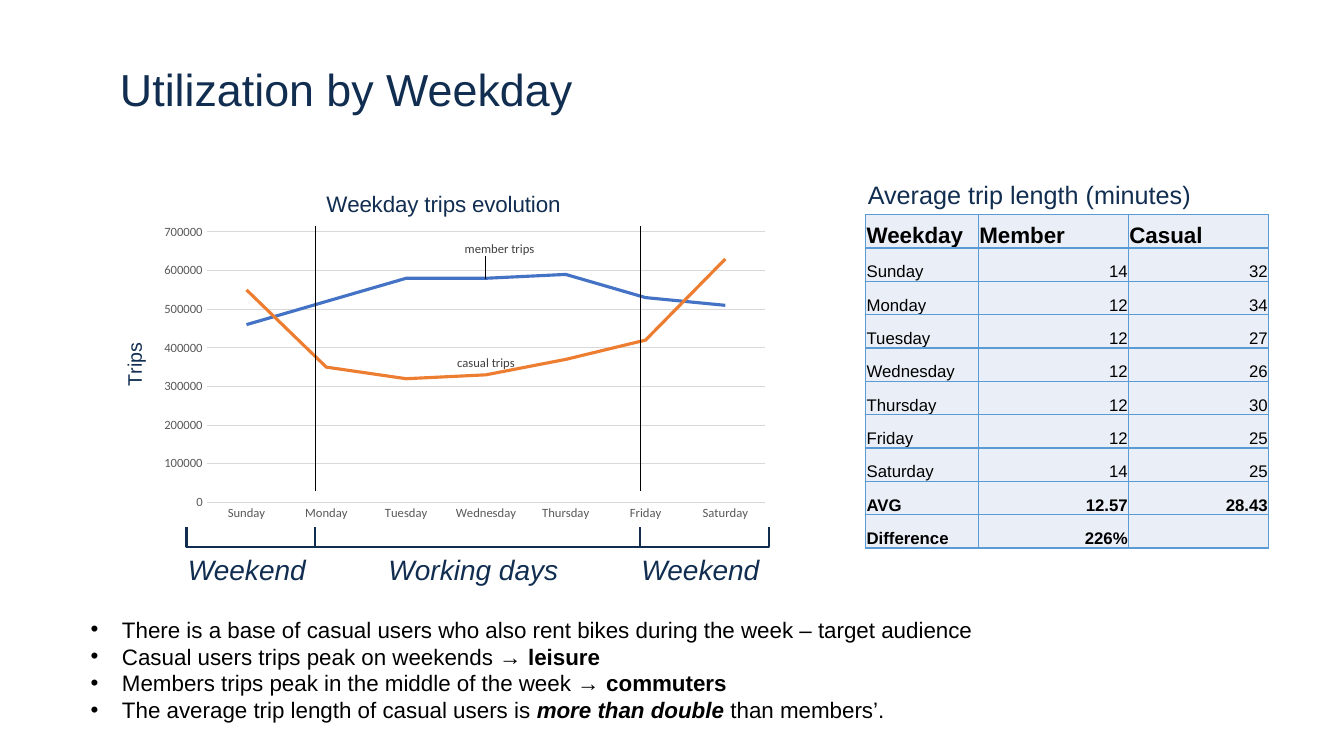
"""Build the slide on bike utilization by weekday."""
from dataclasses import dataclass

from lxml import etree
from pptx import Presentation
from pptx.chart.data import CategoryChartData
from pptx.dml.color import RGBColor
from pptx.enum.chart import XL_CHART_TYPE, XL_LABEL_POSITION, XL_TICK_MARK
from pptx.enum.shapes import MSO_CONNECTOR, MSO_SHAPE
from pptx.enum.text import MSO_ANCHOR, MSO_AUTO_SIZE, PP_ALIGN
from pptx.oxml import parse_xml
from pptx.oxml.ns import nsdecls, qn
from pptx.util import Cm, Pt

LINE_CHART = XL_CHART_TYPE.LINE
ABOVE = XL_LABEL_POSITION.ABOVE
NO_TICK = XL_TICK_MARK.NONE
STRAIGHT = MSO_CONNECTOR.STRAIGHT
BRACKET = MSO_SHAPE.LEFT_BRACKET
TOP, BOTTOM, MIDDLE = MSO_ANCHOR.TOP, MSO_ANCHOR.BOTTOM, MSO_ANCHOR.MIDDLE
NO_FIT = MSO_AUTO_SIZE.NONE
LEFT, RIGHT = PP_ALIGN.LEFT, PP_ALIGN.RIGHT


@dataclass(frozen=True)
class Theme:
    """Fonts, colours and type sizes of the slide."""
    font: str = "Arial"
    chart_font: str = "Calibri"
    navy: str = "112E51"
    black: str = "000000"
    axis_grey: str = "595959"
    label_grey: str = "404040"
    grid: str = "D9D9D9"
    member: str = "4472C4"
    casual: str = "ED7D31"
    cell: str = "EAEFF7"
    border: str = "5B9BD5"
    title: int = 32
    band: int = 20
    caption: int = 18
    body: int = 16
    axis_title: int = 14
    cell_size: int = 12
    tick: int = 9


THEME = Theme()
DAYS = ["Sunday", "Monday", "Tuesday", "Wednesday", "Thursday", "Friday", "Saturday"]
TRIPS = [
    ("member trips", THEME.member, [460000, 520000, 580000, 580000, 590000, 530000, 510000]),
    ("casual trips", THEME.casual, [550000, 350000, 320000, 330000, 370000, 420000, 630000]),
]
LABELLED_DAY = DAYS.index("Wednesday")
MEMBER_MINUTES = [14, 12, 12, 12, 12, 12, 14]
CASUAL_MINUTES = [32, 34, 27, 26, 30, 25, 25]
TRIP_LENGTHS = [
    ("Weekday", "Member", "Casual"),
    *zip(DAYS, MEMBER_MINUTES, CASUAL_MINUTES),
    ("AVG", "12.57", "28.43"),
    ("Difference", "226%", ""),
]
BOLD_ROWS = {"Weekday", "AVG", "Difference"}
BAND_EDGES = [4.7, 7.95, 16.13, 19.38]
BANDS = [("Weekend", 3.68), ("Working days", 5), ("Weekend", 3.68)]
FINDINGS = [
    [("There is a base of casual users who also rent bikes during the week – target audience", {})],
    [("Casual users trips peak on weekends → ", {}), ("leisure", {"bold": True})],
    [("Members trips peak in the middle of the week → ", {}), ("commuters", {"bold": True})],
    [("The average trip length of casual users is ", {}),
     ("more than double ", {"bold": True, "italic": True}), ("than members’.", {})],
]


def rgb(color):
    """Turn a hex string into a colour."""
    return RGBColor.from_string(color)


def set_font(font, size, color, name=THEME.font, bold=False, italic=False):
    """Format a font."""
    font.size, font.name, font.bold, font.italic = Pt(size), name, bold, italic
    font.color.rgb = rgb(color)


def write(paragraph, text, align=LEFT, **style):
    """Append formatted text to a paragraph."""
    paragraph.alignment = align
    run = paragraph.add_run()
    run.text = text
    set_font(run.font, **style)


def move(shape, left, top, width, height):
    """Place a shape by centimetres."""
    shape.left, shape.top, shape.width, shape.height = map(Cm, (left, top, width, height))


def set_line(line, color, width):
    """Give a line its colour and width."""
    line.color.rgb = rgb(color)
    line.width = Pt(width)


def add_label(slide, text, left, top, width, height, **style):
    """Add a one-line text box."""
    box = slide.shapes.add_textbox(*map(Cm, (left, top, width, height)))
    box.text_frame.word_wrap = True
    write(box.text_frame.paragraphs[0], text, **style)


def add_divider(slide, x, top, bottom):
    """Add a thin vertical line between two parts of the week."""
    divider = slide.shapes.add_connector(STRAIGHT, Cm(x), Cm(bottom), Cm(x), Cm(top))
    set_line(divider.line, THEME.black, 0.5)
    etree.SubElement(divider.element.spPr, qn("a:effectLst"))


def add_bracket(slide, start, end, top, depth):
    """Add a bracket that opens upwards under part of the week."""
    span = end - start
    left, upright_top = (start + end - depth) / 2, top + (depth - span) / 2
    bracket = slide.shapes.add_shape(BRACKET, *map(Cm, (left, upright_top, depth, span)))
    bracket.rotation = 270
    bracket.adjustments[0] = 0
    bracket.shadow.inherit = False
    bracket.fill.background()
    set_line(bracket.line, THEME.navy, 1.5)


def set_layout(parent, **places):
    """Give a chart part a manual layout in fractions of the chart."""
    for old in parent.findall(qn("c:layout")):
        parent.remove(old)
    values = "".join(f'<c:{key} val="{value}"/>' for key, value in places.items())
    layout = parse_xml(f'<c:layout {nsdecls("c")}><c:manualLayout>{values}</c:manualLayout></c:layout>')
    leading = [child for child in parent if child.tag in (qn("c:tx"), qn("c:idx"))]
    parent.insert(len(leading), layout)


def label_series(series):
    """Show the series name above the labelled day."""
    label = series.points[LABELLED_DAY].data_label
    set_font(label.font, THEME.tick, THEME.label_grey, THEME.chart_font)
    label.position = ABOVE


def style_axis(axis):
    """Format the tick labels of an axis."""
    axis.major_tick_mark = axis.minor_tick_mark = NO_TICK
    set_font(axis.tick_labels.font, THEME.tick, THEME.axis_grey, THEME.chart_font)


def add_trips_chart(slide):
    """Add the line chart of trips by weekday."""
    trips = CategoryChartData(number_format="General")
    trips.categories = DAYS
    for name, _, counts in TRIPS:
        trips.add_series(name, counts)
    place = map(Cm, (2.46, 4.32, 17.17, 8.97))
    chart = slide.shapes.add_chart(LINE_CHART, *place, trips).chart
    set_font(chart.font, 10, THEME.black, THEME.chart_font)
    chart.has_legend = False
    chart.plots[0].vary_by_categories = False
    for series, (_, color, _) in zip(chart.series, TRIPS):
        series.smooth = False
        set_line(series.format.line, color, 2.25)
        label_series(series)

    days, counts = chart.category_axis, chart.value_axis
    style_axis(days)
    style_axis(counts)
    set_line(days.format.line, THEME.grid, 0.75)
    counts.format.line.fill.background()
    set_line(counts.major_gridlines.format.line, THEME.grid, 0.75)
    counts.minimum_scale, counts.maximum_scale, counts.major_unit = 0, 700000, 100000
    write(chart.chart_title.text_frame.paragraphs[0], "Weekday trips evolution",
          size=THEME.body, color=THEME.navy)
    write(counts.axis_title.text_frame.paragraphs[0], "Trips",
          size=THEME.axis_title, color=THEME.navy)

    root = chart.element
    for flag, shown in (("showVal", "0"), ("showSerName", "1")):
        for node in root.xpath(f".//c:dLbl/c:{flag}"):
            node.set("val", shown)
    for node in root.xpath(".//c:dLbls/c:showVal"):
        node.set("val", "0")
    set_layout(root.xpath(".//c:dLbl")[0], x=0.02, y=-0.05)
    set_layout(root.xpath(".//c:plotArea")[0], layoutTarget="inner", xMode="edge",
               yMode="edge", x=0.16, y=0.17, w=0.82, h=0.76)
    set_layout(root.xpath("./c:chart/c:title")[0], xMode="edge", yMode="edge", x=0.33, y=0.04)
    set_layout(root.xpath(".//c:valAx/c:title")[0], xMode="edge", yMode="edge", x=0.03, y=0.47)
    root.xpath(".//c:valAx/c:title//a:bodyPr")[0].set("rot", "-5400000")


def fill_cell(cell, text, **style):
    """Write a table cell with its fill and borders."""
    cell.fill.solid()
    cell.fill.fore_color.rgb = rgb(THEME.cell)
    cell.vertical_anchor = BOTTOM
    cell.margin_left = cell.margin_right = cell.margin_top = Cm(0.02)
    cell.margin_bottom = 0
    if text:
        write(cell.text_frame.paragraphs[0], text, color=THEME.black, **style)
    properties = cell._tc.get_or_add_tcPr()
    for position, side in enumerate(("lnL", "lnR", "lnT", "lnB")):
        properties.insert(position, parse_xml(
            f'<a:{side} {nsdecls("a")} w="12700"><a:solidFill>'
            f'<a:srgbClr val="{THEME.border}"/></a:solidFill></a:{side}>'))


def add_lengths_table(slide):
    """Add the table of average trip lengths."""
    widths, row_height = (2.84, 3.78, 3.53), 0.84
    place = map(Cm, (21.82, 5.41, sum(widths), row_height * len(TRIP_LENGTHS)))
    table = slide.shapes.add_table(len(TRIP_LENGTHS), len(widths), *place).table
    table.first_row = table.horz_banding = False
    for column, width in zip(table.columns, widths):
        column.width = Cm(width)
    for r, row in enumerate(TRIP_LENGTHS):
        table.rows[r].height = Cm(row_height)
        for c, value in enumerate(row):
            fill_cell(table.cell(r, c), str(value), bold=row[0] in BOLD_ROWS,
                      size=THEME.cell_size if r else THEME.body,
                      align=RIGHT if r and c else LEFT)


def fill_findings(body):
    """Write the bulleted findings."""
    move(body, 2.03, 15.39, 23.24, 3.07)
    frame = body.text_frame
    frame.auto_size, frame.vertical_anchor = NO_FIT, TOP
    for i, finding in enumerate(FINDINGS):
        paragraph = frame.add_paragraph() if i else frame.paragraphs[0]
        paragraph.space_before = Pt(0)
        properties = paragraph._p.get_or_add_pPr()
        properties.set("marL", str(Cm(0.79)))
        properties.set("indent", str(-Cm(0.79)))
        bullet = etree.SubElement(properties, qn("a:buChar"))
        bullet.set("char", "•")
        for text, emphasis in finding:
            write(paragraph, text, size=THEME.body, color=THEME.black, **emphasis)


def main():
    """Build and save the slide."""
    deck = Presentation()
    deck.slide_width, deck.slide_height = Cm(33.87), Cm(19.05)
    slide = deck.slides.add_slide(deck.slide_layouts[1])
    title, body = slide.placeholders
    move(title, 2.77, 1.42, 13.51, 1.63)
    title.text_frame.auto_size, title.text_frame.vertical_anchor = NO_FIT, MIDDLE
    write(title.text_frame.paragraphs[0], "Utilization by Weekday",
          size=THEME.title, color=THEME.navy)
    add_trips_chart(slide)
    add_lengths_table(slide)
    add_label(slide, "Average trip length (minutes)", 21.62, 4.39, 10.4, 1.02,
              size=THEME.caption, color=THEME.navy)
    for x in BAND_EDGES[1:-1]:
        add_divider(slide, x, 5.69, 12.37)
    for start, end, (name, width) in zip(BAND_EDGES, BAND_EDGES[1:], BANDS):
        add_bracket(slide, start, end, 13.28, 0.51)
        add_label(slide, name, (start + end - width) / 2, 13.79, width, 1.12,
                  size=THEME.band, color=THEME.navy, italic=True)
    fill_findings(body)
    deck.save("out.pptx")


if __name__ == "__main__":
    main()
